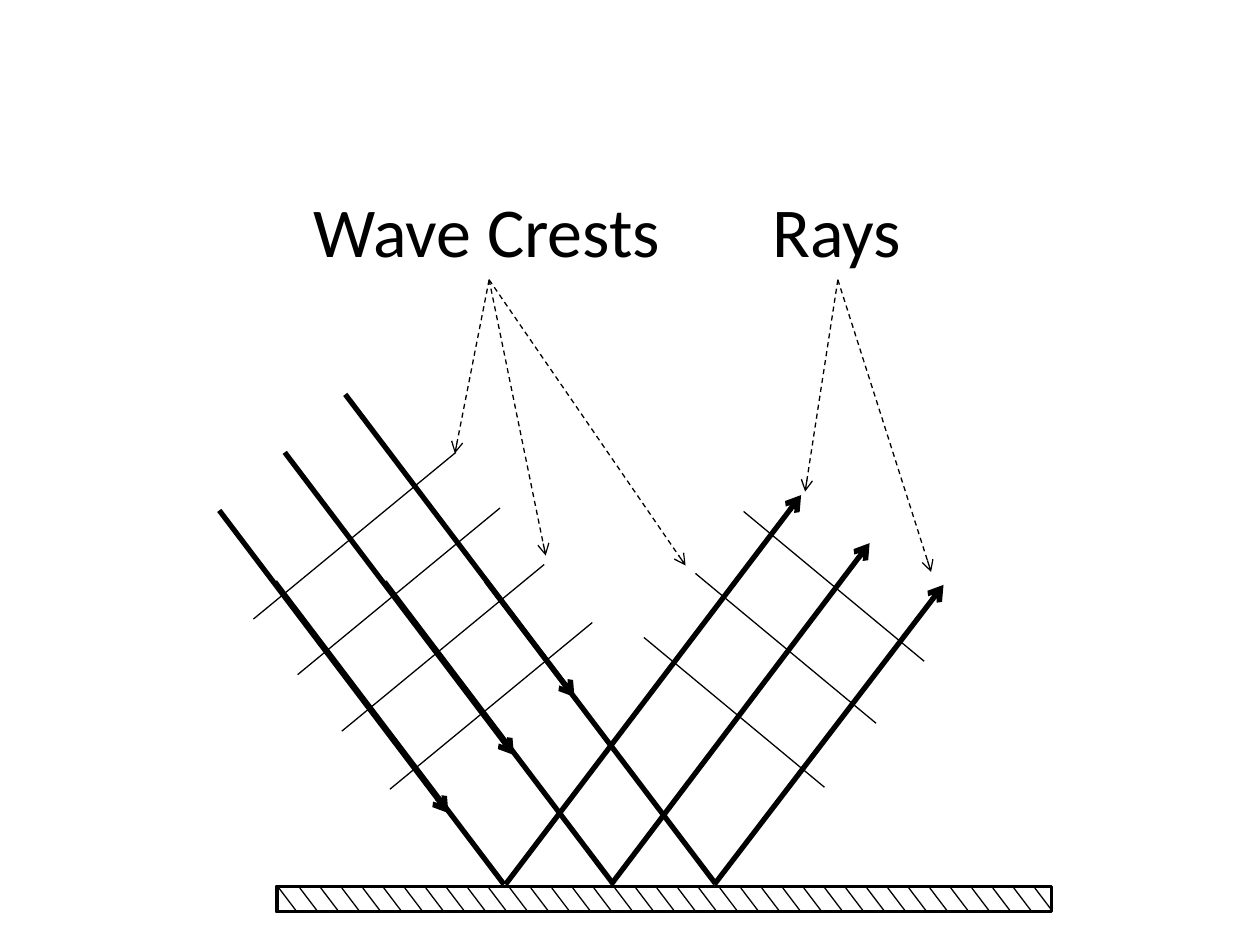
from pptx import Presentation
from pptx.dml.color import RGBColor
from pptx.enum.dml import MSO_LINE
from pptx.enum.shapes import MSO_CONNECTOR as Connector, MSO_SHAPE as Shape
from pptx.enum.text import MSO_AUTO_SIZE as AutoSize
from pptx.oxml.ns import qn
from pptx.util import Cm, Pt
from lxml.etree import SubElement

COLORS = {"ink": "000000", "paper": "FFFFFF"}


def color(name):
    return RGBColor.from_string(COLORS[name])


def write(frame, text, size=40, font="Calibri", ink="ink"):
    run = frame.paragraphs[0].add_run()
    run.text = text
    run.font.size = Pt(size)
    run.font.name = font
    run.font.color.rgb = color(ink)


class Diagram:
    thin, border, thick = 0.75, 2, 3

    def __init__(self, slide):
        self.shapes = slide.shapes

    def line(self, start, end, width=thin, arrow=False, dashed=False):
        connector = self.shapes.add_connector(
            Connector.STRAIGHT, *[Cm(length) for length in (*start, *end)])
        connector.line.color.rgb = color("ink")
        connector.line.width = Pt(width)
        if dashed:
            connector.line.dash_style = MSO_LINE.DASH
        properties = connector._element.spPr
        if arrow:
            SubElement(properties.find(qn("a:ln")), qn("a:tailEnd"), type="arrow")
        SubElement(properties, qn("a:effectLst"))

    def parallels(self, starts, dx, dy, **style):
        for x, y in starts:
            self.line((x, y), (x + dx, y + dy), **style)

    def bar(self, left, top, width, height):
        surface = self.shapes.add_shape(
            Shape.RECTANGLE, Cm(left), Cm(top), Cm(width), Cm(height))
        surface.shadow.inherit = False
        surface.fill.solid()
        surface.fill.fore_color.rgb = color("paper")
        surface.line.color.rgb = color("ink")
        surface.line.width = Pt(self.border)

    def label(self, text, left, top, width, height):
        box = self.shapes.add_textbox(Cm(left), Cm(top), Cm(width), Cm(height))
        box.text_frame.word_wrap = False
        box.text_frame.auto_size = AutoSize.SHAPE_TO_FIT_TEXT
        write(box.text_frame, text)

    def pointers(self, origin, targets):
        for target in targets:
            self.line(origin, target, arrow=True, dashed=True)


def main():
    deck = Presentation()
    deck.slide_width, deck.slide_height = Cm(25.4), Cm(19.05)
    diagram = Diagram(deck.slides.add_slide(deck.slide_layouts[6]))

    diagram.bar(5.58, 17.87, 15.62, 0.51)
    hatch_count, hatch_span = 37, 15.24
    hatch_gap = hatch_span / (hatch_count - 1)
    diagram.parallels([(5.97 + i * hatch_gap, 18.36) for i in range(hatch_count)],
                      -0.35, -0.46)

    ray_dx, ray_dy = 4.62, 6.1
    diagram.parallels([(4.42, 10.29), (5.74, 9.12), (6.96, 7.95)],
                      ray_dx, ray_dy, width=diagram.thick, arrow=True)
    diagram.parallels([(5.54, 11.73), (7.75, 11.73), (9.8, 11.71)],
                      ray_dx, ray_dy, width=diagram.thick)
    for foot, tip in [(10.19, (16.15, 9.98)), (12.32, (17.53, 10.95)),
                      (14.4, (19.02, 11.79))]:
        diagram.line((foot, 17.83), tip, width=diagram.thick, arrow=True)

    diagram.parallels([(9.19, 9.12), (10.08, 10.24), (10.97, 11.38), (11.94, 12.55)],
                      -4.08, 3.36)
    diagram.parallels([(14.99, 10.31), (14.02, 11.56), (12.98, 12.85)], 3.64, 3.02)

    diagram.label("Wave Crests", 6.07, 3.66, 7.57, 1.96)
    diagram.pointers((9.86, 5.64), [(9.17, 9.14), (11, 11.2), (13.82, 11.4)])
    diagram.label("Rays", 15.32, 3.66, 3.12, 1.96)
    diagram.pointers((16.89, 5.64), [(18.77, 11.53), (16.23, 9.91)])

    deck.save("out.pptx")


if __name__ == "__main__":
    main()
